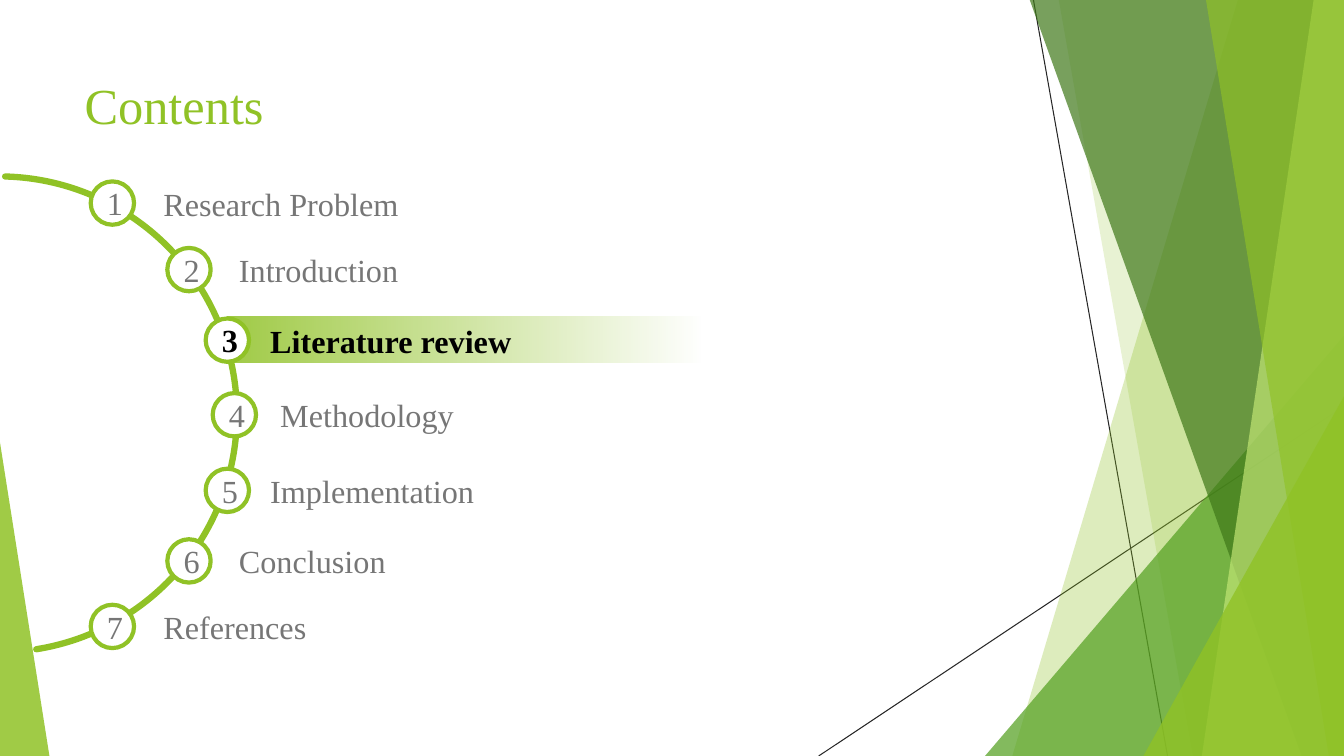
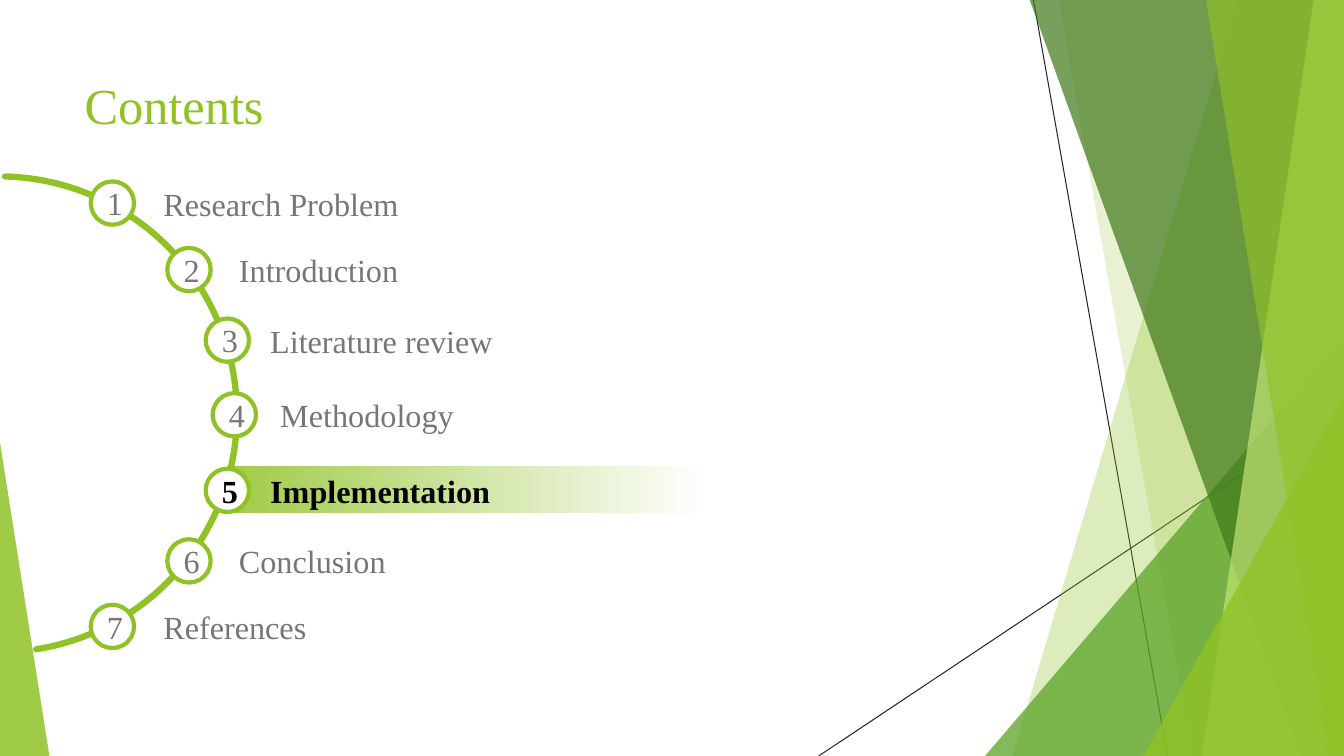
import lxml.etree
import pptx
import pptx.util
import pptx.dml.color
import pptx.enum.shapes
import pptx.enum.text
import pptx.oxml.ns

Inches = pptx.util.Inches
Pt = pptx.util.Pt
qn = pptx.oxml.ns.qn
Shape = pptx.enum.shapes.MSO_SHAPE
Line = pptx.enum.shapes.MSO_CONNECTOR
Anchor = pptx.enum.text.MSO_ANCHOR
Align = pptx.enum.text.PP_ALIGN
Fit = pptx.enum.text.MSO_AUTO_SIZE

GREEN = "90C226"
GREY = "767676"
BLACK = "000000"
WHITE = "FFFFFF"
DARK = "262626"
WIDE, HIGH, TOP = 13.33, 7.5, -0.01
DISC = 0.43

lines = [(10.25, 0, 11.58, HIGH), (WIDE, 4.03, 8.12, HIGH)]
panels = [
    (GREEN, 30, None, (12.28, 10.04)),
    (GREEN, 20, None, (10.5, 11.83)),
    ("54A021", 72, 1, (9.77, 3.33, 3.56, 4.17)),
    ("3F7819", 70, None, (10.21, 12.91)),
    ("C0E474", 70, None, (13.03, 11.92)),
    (GREEN, 65, None, (11.96, 13.18)),
    (GREEN, 80, 1, (11.34, 3.93, 1.99, 3.57)),
    (GREEN, 85, 0, (0, 4.39, 0.49, 3.11)),
]
items = [
    ("Research Problem", 0.9, 1.8, 1.62, 2.36),
    ("Introduction", 1.66, 2.46, 2.37, 1.59),
    ("Literature review", 2.04, 3.16, 2.68, 2.23),
    ("Methodology", 2.11, 3.9, 2.78, 1.74),
    ("Implementation", 2.04, 4.65, 2.68, 2.04),
    ("Conclusion", 1.66, 5.35, 2.37, 1.47),
    ("References", 0.9, 6, 1.62, 1.44),
]
title = {"word_wrap": True, "vertical_anchor": Anchor.BOTTOM}
label = {
    "margin_left": 0, "margin_right": 0, "margin_top": 0, "margin_bottom": 0,
    "word_wrap": False, "vertical_anchor": Anchor.MIDDLE,
    "auto_size": Fit.SHAPE_TO_FIT_TEXT,
}
badge = {"vertical_anchor": Anchor.MIDDLE}


def ink(fill, tone):
    fill.solid()
    fill.fore_color.rgb = pptx.dml.color.RGBColor.from_string(tone)


def write(shape, text, frame, size, tone, bold=False, align=Align.LEFT):
    for key, value in frame.items():
        setattr(shape.text_frame, key, value)
    para = shape.text_frame.paragraphs[0]
    para.alignment = align
    run = para.add_run()
    run.text = text
    font = {"name": "Times New Roman", "size": Pt(size), "bold": bold}
    for key, value in font.items():
        setattr(run.font, key, value)
    ink(run.font.fill, tone)


deck = pptx.Presentation()
deck.slide_width = Inches(WIDE)
deck.slide_height = Inches(HIGH)

for active in (3, 5):
    slide = deck.slides.add_slide(deck.slide_layouts[6])
    shapes = slide.shapes

    for ends in lines:
        line = shapes.add_connector(Line.STRAIGHT, *map(Inches, ends))
        ink(line.line.fill, DARK)
        line.line.width = Pt(0.75)
        lxml.etree.SubElement(line.element.spPr, qn("a:effectLst"))

    for tone, alpha, tip, spot in panels:
        if tip is None:
            head, foot = map(Inches, spot)
            edge, top, base = Inches(WIDE), Inches(TOP), Inches(HIGH)
            pen = shapes.build_freeform(head, top)
            pen.add_line_segments([(edge, top), (edge, base), (foot, base)])
            panel = pen.convert_to_shape()
        else:
            panel = shapes.add_shape(Shape.ISOSCELES_TRIANGLE, *map(Inches, spot))
            panel.adjustments[0] = tip
        panel.shadow.inherit = False
        panel.line.fill.background()
        ink(panel.fill, tone)
        tint = panel.element.spPr.find(".//" + qn("a:srgbClr"))
        lxml.etree.SubElement(tint, qn("a:alpha"), val=str(alpha * 1000))

    bar_top = items[active - 1][2] - 0.02
    bar = shapes.add_shape(
        Shape.RECTANGLE, Inches(2.26), Inches(bar_top), Inches(4.72), Inches(0.46))
    bar.shadow.inherit = False
    bar.line.fill.background()
    bar.fill.gradient()
    bar.fill.gradient_angle = 0
    for stop in bar.fill.gradient_stops:
        stop.color.rgb = pptx.dml.color.RGBColor.from_string(GREEN)
    tints = list(bar.element.spPr.iter(qn("a:srgbClr")))
    for tint, alpha in zip(tints, (85, 0)):
        for child in list(tint):
            tint.remove(child)
        lxml.etree.SubElement(tint, qn("a:alpha"), val=str(alpha * 1000))

    box = shapes.add_textbox(Inches(0.74), Inches(0.67), Inches(9.4), Inches(0.71))
    write(box, "Contents", title, 36, GREEN)

    arc = shapes.add_shape(
        Shape.ARC, Inches(-2.37), Inches(1.75), Inches(4.72), Inches(4.72))
    arc.adjustments[0] = 162.89
    arc.adjustments[1] = 48.59
    arc.shadow.inherit = False
    arc.fill.background()
    ink(arc.line.fill, GREEN)
    arc.line.width = Pt(4.5)
    arc.element.spPr.find(qn("a:ln")).set("cap", "rnd")

    for index, (text, left, top, start, width) in enumerate(items, 1):
        bold = index == active
        tone = BLACK if bold else GREY
        span = width + 0.18 if bold else width
        box = shapes.add_textbox(
            Inches(start), Inches(top + 0.02), Inches(span), Inches(0.39))
        write(box, text, label, 23, tone, bold)
        disc = shapes.add_shape(
            Shape.OVAL, Inches(left), Inches(top), Inches(DISC), Inches(DISC))
        disc.shadow.inherit = False
        ink(disc.fill, WHITE)
        ink(disc.line.fill, GREEN)
        disc.line.width = Pt(3)
        write(disc, str(index), badge, 23, tone, bold, Align.CENTER)

deck.save("out.pptx")
